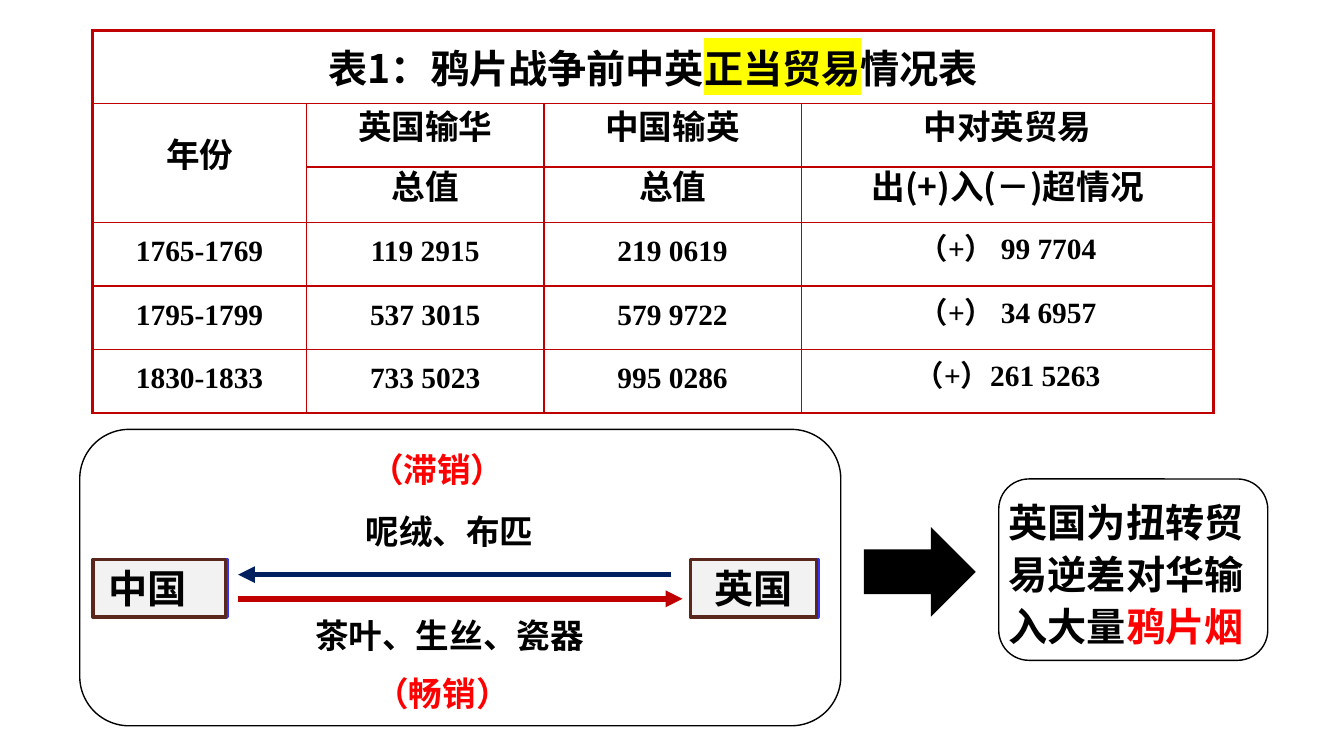
from dataclasses import dataclass

from lxml.etree import SubElement
from pptx import Presentation
from pptx.dml.color import RGBColor
from pptx.enum.shapes import MSO_CONNECTOR as Link, MSO_SHAPE as Preset
from pptx.enum.text import MSO_ANCHOR as Anchor, PP_ALIGN as Align
from pptx.oxml.ns import qn
from pptx.util import Cm, Pt


@dataclass(frozen=True)
class Theme:
    ink: str = "000000"
    red: str = "FF0000"
    crimson: str = "C00000"
    navy: str = "002060"
    marker: str = "FFFF00"
    country_fill: str = "F2F2F2"
    country_edge: str = "5A271C"
    country_shadow: str = "3333FF"
    cjk: str = "Noto Sans CJK SC"
    figures: str = "Times New Roman"
    large: int = 28
    medium: int = 24
    small: int = 21
    thin: float = 1
    frame: float = 2.25
    country_line: float = 2.5
    flow: float = 4


T = Theme()

TITLE = [("表1：鸦片战争前中英", {}), ("正当贸易", {"mark": T.marker}), ("情况表", {})]
HEADINGS = [
    ["年份", "英国输华", "中国输英", "中对英贸易"],
    [None, "总值", "总值", "出(+)入(－)超情况"],
]
TRADE = [
    ["1765-1769", "119 2915", "219 0619", "（+） 99 7704"],
    ["1795-1799", "537 3015", "579 9722", "（+） 34 6957"],
    ["1830-1833", "733 5023", "995 0286", "（+）261 5263"],
]


def assign(target, values):
    for name, value in values.items():
        setattr(target, name, value)


def add_run(paragraph, words, size, color=T.ink, font=T.cjk, mark=None):
    run = paragraph.add_run()
    run.text = words
    run.font.color.rgb = RGBColor.from_string(color)
    props = run.font._element
    if mark:
        SubElement(SubElement(props, qn("a:highlight")), qn("a:srgbClr"), val=mark)
    assign(run.font, {"size": Pt(size), "bold": True, "name": font})
    SubElement(props, qn("a:ea"), typeface=T.cjk)


def write(frame, runs, size, align=Align.CENTER, spacing=None, **style):
    paragraph = frame.paragraphs[0]
    assign(paragraph, {"alignment": align, "line_spacing": spacing})
    for words, extra in runs:
        add_run(paragraph, words, size, **{**style, **extra})


def add_label(slide, box, runs, size, inset=0.25, **style):
    label = slide.shapes.add_textbox(*map(Cm, box))
    assign(label.text_frame, {"word_wrap": True, "margin_left": Cm(inset)})
    write(label.text_frame, runs, size, **style)


def add_outline(slide, box):
    panel = slide.shapes.add_shape(Preset.ROUNDED_RECTANGLE, *map(Cm, box))
    panel.shadow.inherit = False
    panel.fill.background()
    panel.line.color.rgb = RGBColor.from_string(T.ink)
    panel.line.width = Pt(T.thin)


# Trade table
def add_borders(cell, row, col, rows, cols):
    props = cell._tc.get_or_add_tcPr()
    outer = {
        "L": col == 0,
        "R": col + cell.span_width >= cols,
        "T": row == 0,
        "B": row + cell.span_height >= rows,
    }
    for side, on_frame in outer.items():
        width = Pt(T.frame if on_frame else T.thin)
        edge = SubElement(props, qn(f"a:ln{side}"), w=str(int(width)))
        SubElement(SubElement(edge, qn("a:solidFill")), qn("a:srgbClr"), val=T.crimson)
    cell.fill.background()


def trade_table(slide, box):
    widths = [5.38, 5.99, 6.48, 10.4]
    heights = [1.85, 1.6, 1.4, 1.6, 1.6, 1.6]
    table = slide.shapes.add_table(len(heights), len(widths), *map(Cm, box)).table
    assign(table, {"first_row": False, "horz_banding": False})
    for column, width in zip(table.columns, widths):
        column.width = Cm(width)
    for row, height in zip(table.rows, heights):
        row.height = Cm(height)
    table.cell(0, 0).merge(table.cell(0, len(widths) - 1))
    table.cell(1, 0).merge(table.cell(2, 0))

    for r in range(len(heights)):
        for c in range(len(widths)):
            cell = table.cell(r, c)
            cell.vertical_anchor = Anchor.MIDDLE
            add_borders(cell, r, c, len(heights), len(widths))

    write(table.cell(0, 0).text_frame, TITLE, T.large)
    for r, values in enumerate(HEADINGS + TRADE, start=1):
        heading = r <= len(HEADINGS)
        size, font = (T.medium, T.cjk) if heading else (T.small, T.figures)
        for c, value in enumerate(values):
            if value:
                write(table.cell(r, c).text_frame, [(value, {})], size,
                      spacing=Pt(20), font=font)


# Goods flowing between the two countries
def add_country(slide, box, name, align, inset):
    country = slide.shapes.add_shape(Preset.RECTANGLE, *map(Cm, box))
    country.shadow.inherit = False
    country.fill.solid()
    country.fill.fore_color.rgb = RGBColor.from_string(T.country_fill)
    country.line.color.rgb = RGBColor.from_string(T.country_edge)
    country.line.width = Pt(T.country_line)
    effects = country._element.spPr.find(qn("a:effectLst"))
    shadow = SubElement(effects, qn("a:outerShdw"), blurRad="0",
                        dist=str(int(Pt(1))), dir="0", algn="ctr", rotWithShape="0")
    SubElement(shadow, qn("a:srgbClr"), val=T.country_shadow)
    assign(country.text_frame, {"word_wrap": True, "margin_left": Cm(inset),
                                "vertical_anchor": Anchor.MIDDLE})
    write(country.text_frame, [(name, {})], T.large, align=align)


def add_flow(slide, start, end, y, color):
    flow = slide.shapes.add_connector(Link.STRAIGHT, Cm(start), Cm(y), Cm(end), Cm(y))
    flow.line.color.rgb = RGBColor.from_string(color)
    flow.line.width = Pt(T.flow)
    SubElement(flow.line._get_or_add_ln(), qn("a:tailEnd"), type="triangle")
    SubElement(flow._element.spPr, qn("a:effectLst"))


def goods_flow(slide, box):
    left, top, width, height = box
    add_outline(slide, box)
    for x, y, sales in [(6.88, 0.36, "（滞销）"), (7.01, 6.02, "（畅销）")]:
        add_label(slide, (left + x, top + y, 4.55, 1.27), [(sales, {})], T.medium,
                  inset=0.44, align=Align.LEFT, color=T.red)
    for y, goods in [(1.93, "呢绒、布匹"), (4.55, "茶叶、生丝、瓷器")]:
        add_label(slide, (left + 4.62, top + y, 9.4, 1.27), [(goods, {})], T.medium)
    add_flow(slide, left + 14.91, left + 3.99, top + 3.66, T.navy)
    add_flow(slide, left + 3.99, left + 15.19, top + 4.27, T.crimson)
    for x, w, name, align, inset in [(0.33, 3.35, "中国", Align.LEFT, 0.4),
                                     (15.39, 3.18, "英国", Align.CENTER, 0.25)]:
        add_country(slide, (left + x, top + 3.28, w, 1.45), name, align, inset)


# Arrow to the outcome
def outcome_arrow(slide, box):
    arrow = slide.shapes.add_shape(Preset.RIGHT_ARROW, *map(Cm, box))
    arrow.shadow.inherit = False
    arrow.fill.solid()
    arrow.fill.fore_color.rgb = RGBColor.from_string(T.ink)
    arrow.line.fill.background()


# Outcome
def outcome(slide, box):
    left, top, width, height = box
    add_outline(slide, box)
    add_label(slide, (left, top + 0.25, width + 0.15, height - 0.38),
              [("英国为扭转贸易逆差对华输入大量", {}), ("鸦片烟", {"color": T.red})],
              T.large, align=Align.LEFT, spacing=1.1)


def main():
    deck = Presentation()
    assign(deck, {"slide_width": Cm(33.87), "slide_height": Cm(19.05)})
    slide = deck.slides.add_slide(deck.slide_layouts[6])
    trade_table(slide, (2.34, 0.76, 28.25, 9.65))
    goods_flow(slide, (2.01, 10.82, 19.18, 7.47))
    outcome_arrow(slide, (21.77, 13.28, 2.82, 2.26))
    outcome(slide, (25.17, 12.07, 6.78, 4.57))
    deck.save("out.pptx")


if __name__ == "__main__":
    main()
